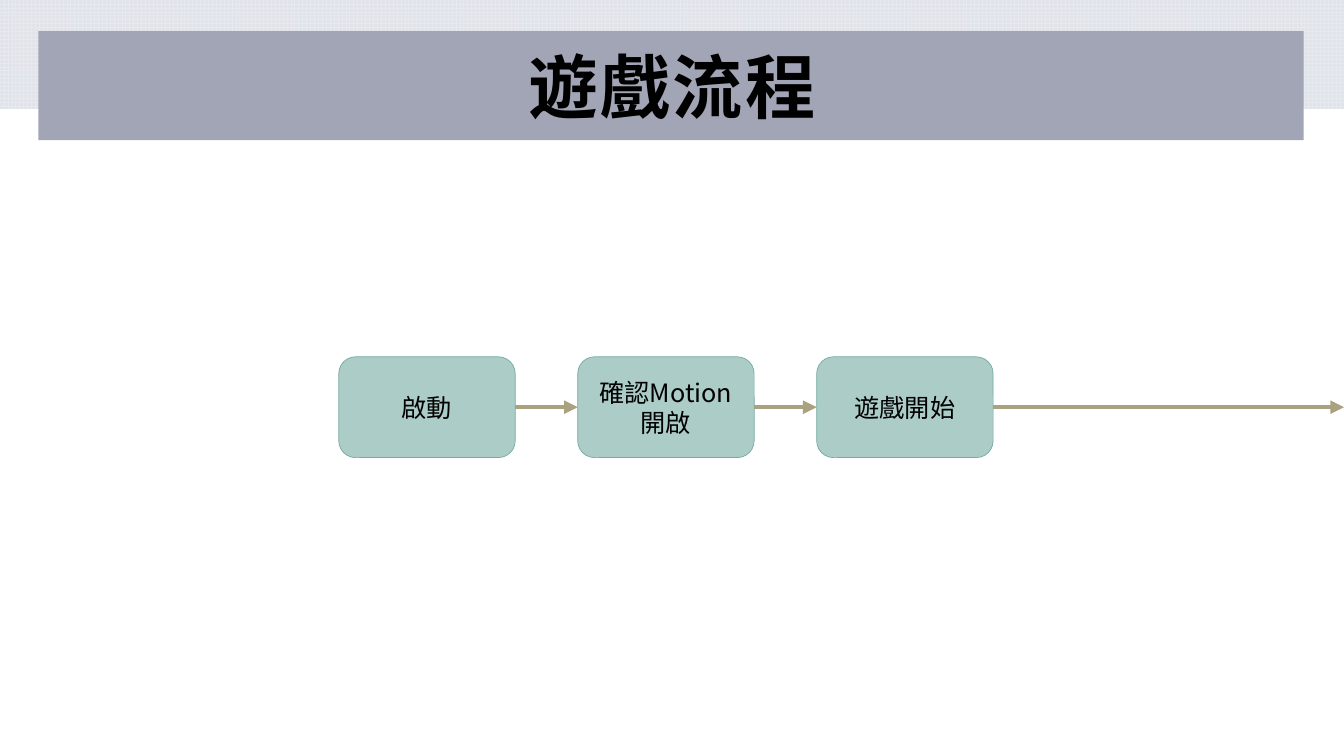
"""Build the game flow slide: a title band and a row of steps joined by arrows."""
from dataclasses import dataclass

from lxml.etree import SubElement as Sub
from pptx import Presentation
from pptx.dml.color import RGBColor as RGB
from pptx.enum.dml import MSO_PATTERN as PATTERN
from pptx.enum.shapes import MSO_CONNECTOR as LINE, MSO_SHAPE as SHAPE
from pptx.enum.text import MSO_ANCHOR as ANCHOR, PP_ALIGN as ALIGN
from pptx.oxml.ns import qn
from pptx.util import Inches, Pt


@dataclass(frozen=True)
class Theme:
    font: str = "Noto Sans CJK JP"
    ink: RGB = RGB.from_string("000000")
    grid: RGB = RGB.from_string("E5EAF0")
    back: RGB = RGB.from_string("E2E3E8")
    band: RGB = RGB.from_string("A2A5B5")
    box: RGB = RGB.from_string("ACCCC7")
    edge: RGB = RGB.from_string("74AAA2")
    arrow: RGB = RGB.from_string("AAA180")
    head: Pt = Pt(50)
    body: Pt = Pt(18)


theme = Theme()


def add_shape(kind, left, top, width, height):
    shape = slide.shapes.add_shape(
        kind, Inches(left), Inches(top), Inches(width), Inches(height))
    shape.shadow.inherit = False
    return shape


def write(frame, text, size):
    frame.word_wrap = True
    frame.vertical_anchor = ANCHOR.MIDDLE
    para = frame.paragraphs[0]
    para.alignment = ALIGN.CENTER
    run = para.add_run()
    run.text = text
    run.font.size = size
    run.font.name = theme.font
    run.font.color.rgb = theme.ink
    Sub(run.font._element, qn("a:ea"), typeface=theme.font)
    return para, run


deck = Presentation()
deck.slide_width, deck.slide_height = Inches(13.33), Inches(7.5)
slide = deck.slides.add_slide(deck.slide_layouts[5])

strip = add_shape(SHAPE.RECTANGLE, 0, 0, 13.33, 1.08)
strip.fill.patterned()
strip.fill.pattern = PATTERN.LARGE_GRID
strip.fill.fore_color.rgb = theme.grid
strip.fill.back_color.rgb = theme.back
strip.line.fill.background()

band = add_shape(SHAPE.RECTANGLE, 0.38, 0.31, 12.55, 1.08)
band.fill.solid()
band.fill.fore_color.rgb = theme.band
band.line.fill.background()

title = slide.shapes.title
title.left, title.top = Inches(0.7), Inches(0.52)
title.width, title.height = Inches(11.93), Inches(0.75)
frame = title.text_frame
frame.margin_left = frame.margin_top = frame.margin_right = Inches(0.12)
frame.margin_bottom = Inches(0.1)
para, run = write(frame, "遊戲流程", theme.head)
para.line_spacing = 0.9
run.font.bold = True
run.font._element.set("spc", "150")
slide.shapes._spTree.append(title._element)

left, top, width, height, step = 3.36, 3.54, 1.75, 1, 2.37
boxes = []
for col, label in enumerate(["啟動", "確認Motion開啟", "遊戲開始"]):
    box = add_shape(SHAPE.ROUNDED_RECTANGLE, left + col * step, top, width, height)
    box.fill.solid()
    box.fill.fore_color.rgb = theme.box
    box.line.color.rgb = theme.edge
    box.line.width = Pt(0.5)
    write(box.text_frame, label, theme.body)
    boxes.append(box)

mid = Inches(top + height / 2)
for box, goal in zip(boxes, boxes[1:] + [None]):
    arrow = slide.shapes.add_connector(
        LINE.STRAIGHT, box.left + box.width, mid, deck.slide_width, mid)
    arrow.begin_connect(box, 3)
    if goal:
        arrow.end_connect(goal, 1)
    arrow.line.color.rgb = theme.arrow
    arrow.line.width = Pt(3.25)
    Sub(arrow.line._get_or_add_ln(), qn("a:tailEnd"), type="triangle")
    Sub(arrow._element.spPr, qn("a:effectLst"))

deck.save("out.pptx")
